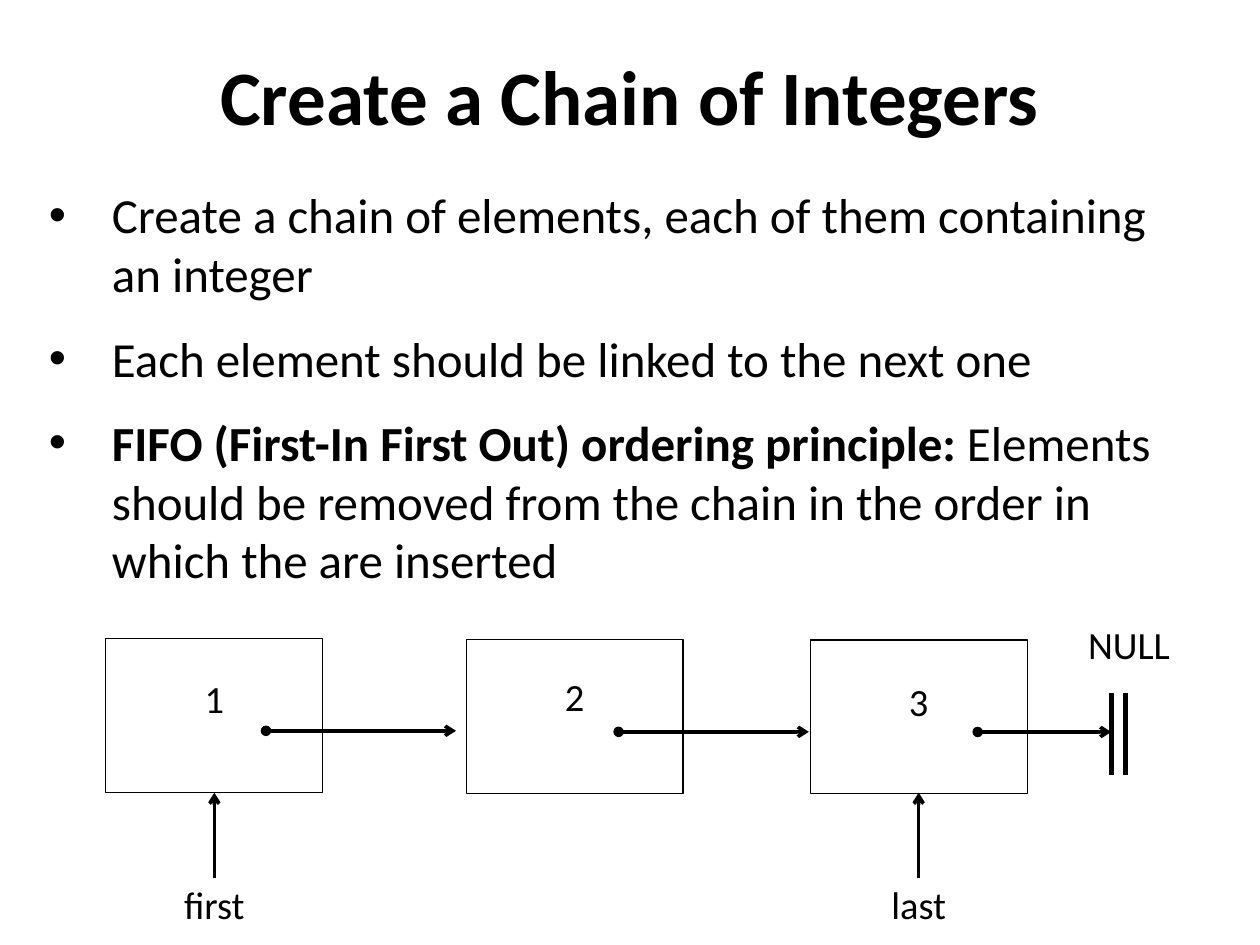
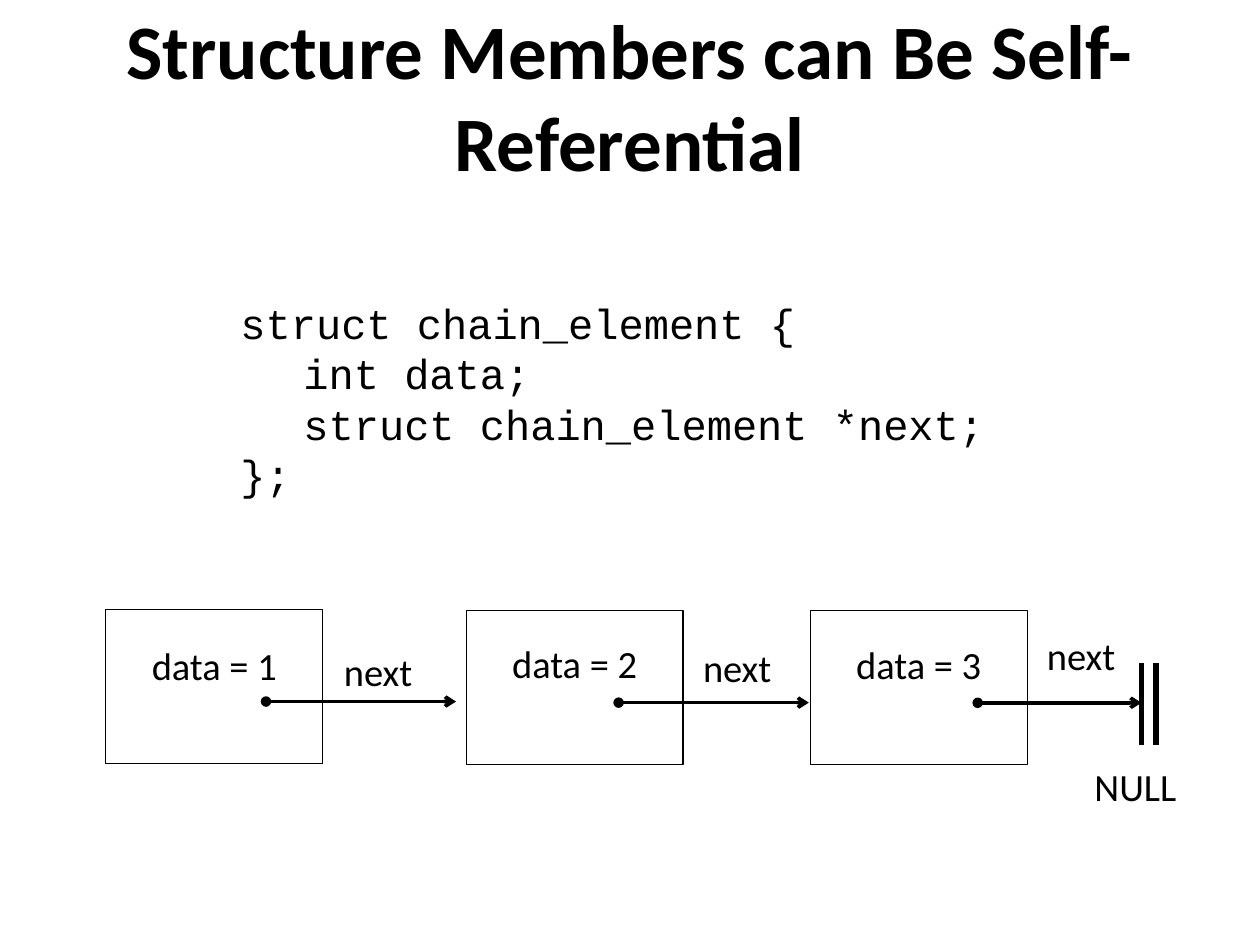
from lxml import etree
from pptx import Presentation
from pptx.dml.color import RGBColor
from pptx.enum.shapes import MSO_CONNECTOR, MSO_SHAPE
from pptx.enum.text import MSO_ANCHOR, PP_ALIGN
from pptx.oxml.ns import qn
from pptx.util import Pt

LEFT, CENTER = PP_ALIGN.LEFT, PP_ALIGN.CENTER
TOP, MIDDLE = MSO_ANCHOR.TOP, MSO_ANCHOR.MIDDLE
RECTANGLE, STRAIGHT = MSO_SHAPE.RECTANGLE, MSO_CONNECTOR.STRAIGHT

BOX_W, BOX_H = 124, 88
LABEL_H = 34
ELEMENTS = [
    dict(left=60.5, dy=0, pad=0, link_from=152, link_to=260.6),
    dict(left=266.4, dy=0.6, pad=6, link_from=353.5, link_to=462.2),
    dict(left=463, dy=0.7, pad=6, link_from=558.7, link_to=None),
]


def color(hex_string):
    return RGBColor.from_string(hex_string)


def write(p, text, size=22, font="Calibri", bold=False, fill="000000"):
    r = p.add_run()
    r.text = text
    r.font.size = Pt(size)
    r.font.name = font
    r.font.bold = bold
    r.font.color.rgb = color(fill)


class Deck:
    ink = "000000"
    paper = "FFFFFF"

    def __init__(self):
        self.prs = Presentation()
        self.prs.slide_width = Pt(720)
        self.prs.slide_height = Pt(540)
        self.s = None

    def slide(self, title):
        self.s = self.prs.slides.add_slide(self.prs.slide_layouts[6])
        tf = self.frame(0, 17.3, 720, 73.4, anchor=MIDDLE)
        tf.paragraphs[0].alignment = CENTER
        write(tf.paragraphs[0], title, size=44, bold=True)

    def frame(self, x, y, w, h, anchor=TOP):
        tf = self.s.shapes.add_textbox(Pt(x), Pt(y), Pt(w), Pt(h)).text_frame
        tf.word_wrap = True
        tf.vertical_anchor = anchor
        return tf

    def paragraphs(self, tf, items):
        for i, item in enumerate(items):
            p = tf.add_paragraph() if i else tf.paragraphs[0]
            yield i, p, item

    def label(self, text, x, y, w=BOX_W):
        p = self.frame(x, y, w, LABEL_H).paragraphs[0]
        p.alignment = CENTER
        write(p, text)

    def bullets(self, items, x, y, w, h):
        for i, p, runs in self.paragraphs(self.frame(x, y, w, h), items):
            pPr = p._p.get_or_add_pPr()
            pPr.set("marL", str(Pt(36)))
            pPr.set("indent", str(Pt(-36)))
            etree.SubElement(pPr, qn("a:buFont")).set("typeface", "Arial")
            etree.SubElement(pPr, qn("a:buChar")).set("char", "•")
            if i:
                p.space_before = Pt(14.5)
            for text, bold in runs:
                write(p, text, size=28, bold=bold)

    def code(self, lines, x, y, w, h):
        for _, p, line in self.paragraphs(self.frame(x, y, w, h), lines):
            p.alignment = LEFT
            tabs = etree.SubElement(p._p.get_or_add_pPr(), qn("a:tabLst"))
            tab = etree.SubElement(tabs, qn("a:tab"))
            tab.set("pos", str(Pt(36)))
            tab.set("algn", "l")
            write(p, line, size=24, font="Courier New")

    def box(self, x, y):
        sp = self.s.shapes.add_shape(RECTANGLE, Pt(x), Pt(y), Pt(BOX_W), Pt(BOX_H))
        sp.shadow.inherit = False
        sp.fill.solid()
        sp.fill.fore_color.rgb = color(self.paper)
        sp.line.color.rgb = color(self.ink)
        sp.line.width = Pt(0.75)

    def line(self, x1, y1, x2, y2, width=2, head=None, tail=None):
        c = self.s.shapes.add_connector(STRAIGHT, Pt(x1), Pt(y1), Pt(x2), Pt(y2))
        c.line.color.rgb = color(self.ink)
        c.line.width = Pt(width)
        ln = c.line._get_or_add_ln()
        for tag, kind in (("a:headEnd", head), ("a:tailEnd", tail)):
            if kind:
                etree.SubElement(ln, qn(tag)).set("type", kind)
        etree.SubElement(c._element.spPr, qn("a:effectLst"))

    def chain(self, top, labels, null_x, null_label):
        for element, (text, label_y) in zip(ELEMENTS, labels):
            x, pad = element["left"], element["pad"]
            self.box(x, top + element["dy"])
            self.label(text, x - pad, label_y, BOX_W + 2 * pad)
            link_y = top + 52.6 + element["dy"]
            self.line(element["link_from"], link_y, element["link_to"] or null_x,
                      link_y, head="oval", tail="arrow")
        for bar_x in (null_x, null_x + 8.3):
            self.line(bar_x, top + 30.8, bar_x, top + 77.6, width=3)
        self.label("NULL", *null_label)

    def pointer(self, text, element):
        x = element["left"] + BOX_W / 2
        self.line(x, 501.5, x, 453, tail="arrow")
        self.label(text, element["left"], 499.7)


def main():
    deck = Deck()

    deck.slide("Create a Chain of Integers")
    deck.bullets([
        [("Create a chain of elements, each of them containing an integer", False)],
        [("Each element should be linked to the next one", False)],
        [("FIFO (First-In First Out) ordering principle: ", True),
         ("Elements should be removed from the chain in the order in which "
          "the are inserted", False)],
    ], 20.9, 102.2, 666.7, 208.8)
    deck.chain(365, [("1", 382.3), ("2", 380.9), ("3", 383.8)],
               635, (583.2, 351.4))
    deck.pointer("first", ELEMENTS[0])
    deck.pointer("last", ELEMENTS[-1])

    deck.slide("Structure Members can Be Self-Referential")
    deck.code([
        "struct chain_element {",
        "\tint data;",
        "\tstruct chain_element *next;",
        "};",
    ], 130.3, 166.3, 440.6, 138.2)
    deck.chain(348.3, [("data = 1", 363.6), ("data = 2", 362.2), ("data = 3", 362.9)],
               652.3, (586.8, 432.7))
    for x, y in ((154.1, 366.5), (359.3, 364.3), (555.8, 357.8)):
        deck.label("next", x, y)

    deck.prs.save("out.pptx")


if __name__ == "__main__":
    main()
